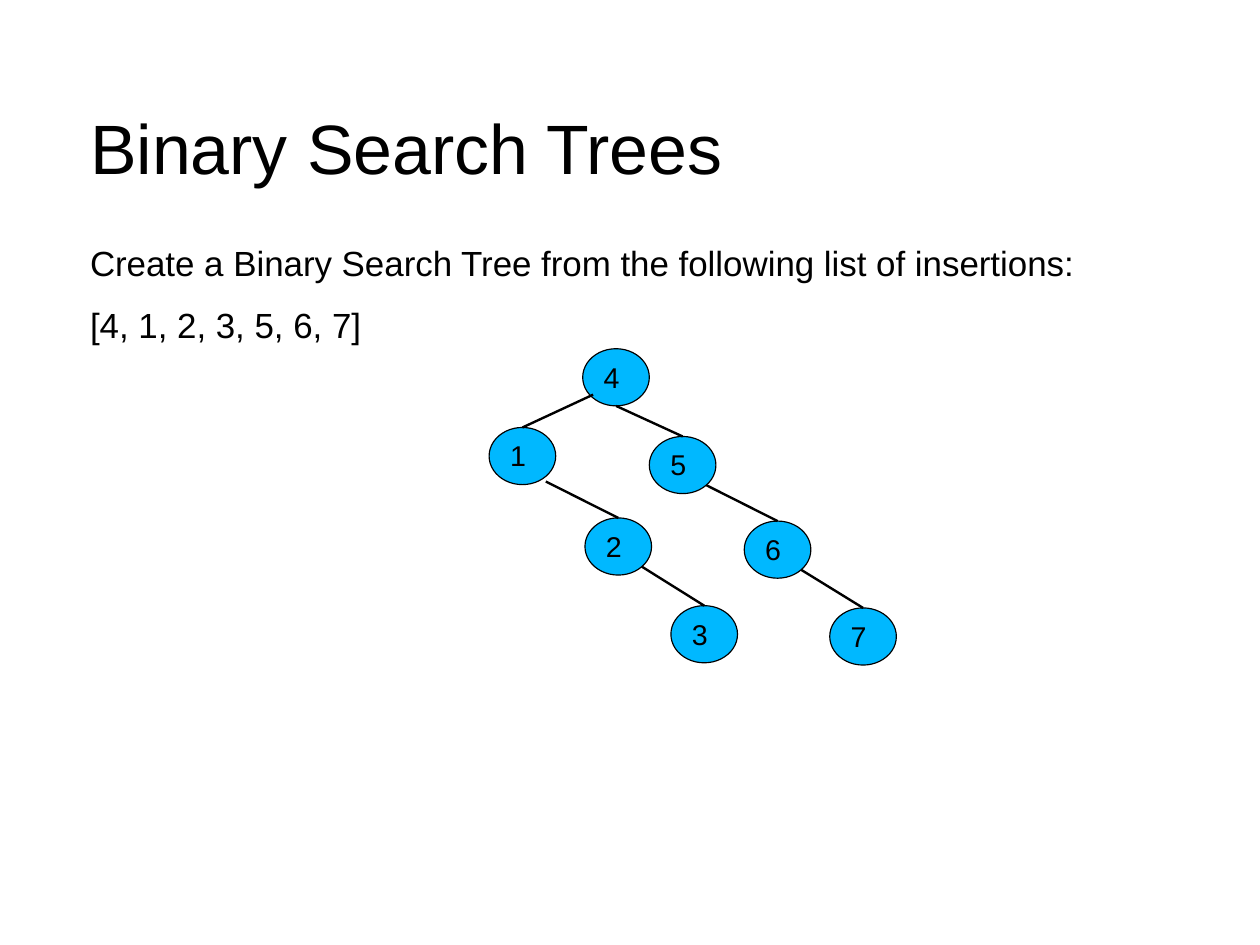
from lxml.etree import SubElement
from pptx import Presentation
from pptx.dml.color import RGBColor
from pptx.enum.shapes import MSO_CONNECTOR, MSO_SHAPE
from pptx.enum.text import MSO_ANCHOR, MSO_AUTO_SIZE, PP_ALIGN
from pptx.oxml.ns import qn
from pptx.util import Cm, Pt

BLACK = RGBColor(0x00, 0x00, 0x00)
NODE_BLUE = RGBColor(0x00, 0xB8, 0xFF)

NODE_WIDTH, NODE_HEIGHT = 1.48, 1.27

# Key: left and top of the node, in cm
NODES = {
    4: (12.95, 7.75),
    5: (14.43, 9.7),
    6: (16.54, 11.58),
    7: (18.44, 13.51),
    1: (10.87, 9.5),
    2: (13.0, 11.51),
    3: (14.91, 13.46),
}

# Parent, child, and where the edge leaves the parent, from its left and top
LOWER_RIGHT = (1.26, 1.08)
EDGES = [
    (4, 5, (NODE_WIDTH / 2, NODE_HEIGHT)),
    (5, 6, LOWER_RIGHT),
    (6, 7, LOWER_RIGHT),
    (4, 1, (0.23, 1.02)),
    (1, 2, (1.26, 1.2)),
    (2, 3, LOWER_RIGHT),
]


def write(paragraph, text, size=18, space_after=0, hanging=0):
    paragraph.text = text
    properties = paragraph._p.get_or_add_pPr()
    properties.set("marL", str(Cm(hanging)))
    properties.set("indent", str(-Cm(hanging)))
    SubElement(properties, qn("a:buNone"))
    paragraph.alignment = PP_ALIGN.LEFT
    paragraph.line_spacing = 0.93
    paragraph.space_before = Pt(0)
    paragraph.space_after = Pt(space_after)
    paragraph.font.name = "Arial"
    paragraph.font.size = Pt(size)
    paragraph.font.color.rgb = BLACK


def place(placeholder, left, top, width, height, inset_top, anchor):
    """Move a placeholder and return its text frame without side insets."""
    placeholder.left, placeholder.top = Cm(left), Cm(top)
    placeholder.width, placeholder.height = Cm(width), Cm(height)
    frame = placeholder.text_frame
    frame.margin_left = frame.margin_right = frame.margin_bottom = 0
    frame.margin_top = Cm(inset_top)
    frame.vertical_anchor = anchor
    frame.word_wrap = True
    frame.auto_size = MSO_AUTO_SIZE.NONE
    return frame


def add_node(shapes, key, left, top):
    node = shapes.add_shape(MSO_SHAPE.OVAL, Cm(left), Cm(top),
                            Cm(NODE_WIDTH), Cm(NODE_HEIGHT))
    node.shadow.inherit = False
    node.fill.solid()
    node.fill.fore_color.rgb = NODE_BLUE
    node.line.color.rgb = BLACK
    node.line.width = Pt(0.75)
    node.text_frame.vertical_anchor = MSO_ANCHOR.TOP
    write(node.text_frame.paragraphs[0], str(key))
    return node


def add_edge(shapes, parent, child, start):
    """Draw a line from a point on the parent to the top of the child."""
    edge = shapes.add_connector(
        MSO_CONNECTOR.STRAIGHT,
        parent.left + Cm(start[0]), parent.top + Cm(start[1]),
        child.left + child.width // 2, child.top)
    edge.end_connect(child, 0)
    edge.line.color.rgb = BLACK
    edge.line.width = Pt(1.5)
    SubElement(edge._element.spPr, qn("a:effectLst"))


def add_tree(slide):
    shapes = slide.shapes.add_group_shape().shapes
    nodes = {key: add_node(shapes, key, *corner)
             for key, corner in NODES.items()}
    for parent, child, start in EDGES:
        add_edge(shapes, nodes[parent], nodes[child], start)


def main():
    presentation = Presentation()
    presentation.slide_width, presentation.slide_height = Cm(28), Cm(21)
    slide = presentation.slides.add_slide(presentation.slide_layouts[1])

    title = place(slide.shapes.title, 2, 1.57, 23.5, 3.48, 0.1,
                  MSO_ANCHOR.MIDDLE)
    write(title.paragraphs[0], "Binary Search Trees", size=44)

    body = place(slide.placeholders[1], 2, 5.41, 24.59, 13.36, 0.05,
                 MSO_ANCHOR.TOP)
    write(body.paragraphs[0],
          "Create a Binary Search Tree from the following list of insertions:",
          size=22, space_after=14.2)
    write(body.add_paragraph(), "[4, 1, 2, 3, 5, 6, 7]",
          size=22, space_after=14.2, hanging=0.97)

    add_tree(slide)
    presentation.save("out.pptx")


if __name__ == "__main__":
    main()
